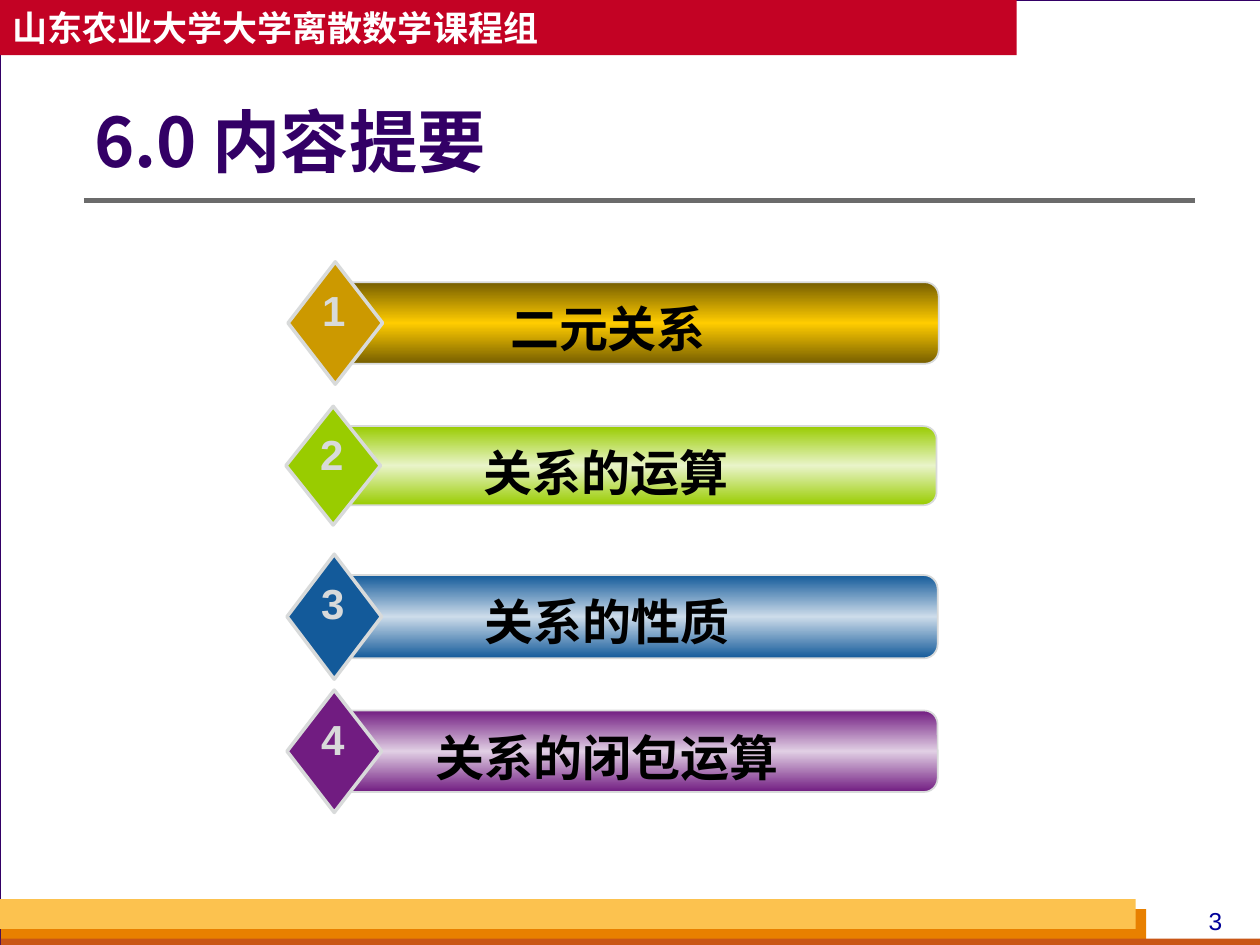
from copy import deepcopy

from lxml import etree
from pptx import Presentation
from pptx.dml.color import RGBColor
from pptx.enum.shapes import MSO_CONNECTOR, MSO_SHAPE
from pptx.enum.text import MSO_ANCHOR, PP_ALIGN
from pptx.oxml.ns import qn
from pptx.util import Pt

RECT, ROUND, DIAMOND = MSO_SHAPE.RECTANGLE, MSO_SHAPE.ROUNDED_RECTANGLE, MSO_SHAPE.DIAMOND
LEFT, CENTER = PP_ALIGN.LEFT, PP_ALIGN.CENTER
CJK = "Noto Sans CJK SC"
GREY, INDIGO = "D8DADA", "330066"

TITLE = "6.0 内容提要"
COURSE = "山东农业大学大学离散数学课程组"
PAGE = "3"
# label, bar left, top and height, edge colour, middle colour, diamond colour
TOPICS = [
    ("二元关系", 194.4, 161.3, 46.6, "765E00", "FFCC00", "CC9900"),
    ("关系的运算", 193.2, 243.5, 45.2, "99CC00", "E9F4C9", "99CC00"),
    ("关系的性质", 193.8, 328.6, 47.6, "135A9A", "CDDCEA", "135A9A"),
    ("关系的闭包运算", 193.8, 406, 46.6, "711C81", "E1CFE4", "711C81"),
]
# left, top, width, height, colour
FOOTER_BANDS = [
    (0.5, 519.6, 654.5, 20.4, "E88000"),
    (0.5, 536.4, 720, 5.6, "C95616"),
    (0, 513.8, 649, 17, "FCC24F"),
]


def rgb(hex_colour):
    return RGBColor.from_string(hex_colour)


def add_shape(shapes, kind, left, top, width, height, fill=None, line=None, weight=1):
    shape = shapes.add_shape(kind, Pt(left), Pt(top), Pt(width), Pt(height))
    shape.shadow.inherit = False
    if fill:
        shape.fill.solid()
        shape.fill.fore_color.rgb = rgb(fill)
    if line:
        shape.line.color.rgb = rgb(line)
        shape.line.width = Pt(weight)
    else:
        shape.line.fill.background()
    return shape


def fill_gradient(shape, colours):
    """Fill from top to bottom with evenly spaced colours."""
    shape.fill.gradient()
    shape.fill.gradient_angle = 270
    stop_list = shape._element.spPr.find(qn("a:gradFill")).find(qn("a:gsLst"))
    while len(stop_list) < len(colours):
        stop_list.append(deepcopy(stop_list[0]))
    for i, (stop, colour) in enumerate(zip(shape.fill.gradient_stops, colours)):
        stop.color.rgb = rgb(colour)
        stop.position = i / (len(colours) - 1)


def write(shape, text, size, colour, font="Arial", bold=True, align=CENTER,
          anchor=MSO_ANCHOR.TOP, wrap=True):
    frame = shape.text_frame
    frame.word_wrap = wrap
    frame.vertical_anchor = anchor
    paragraph = frame.paragraphs[0]
    paragraph.alignment = align
    run = paragraph.add_run()
    run.text = text
    run.font.name = font
    run.font.size = Pt(size)
    run.font.bold = bold
    run.font.color.rgb = rgb(colour)
    etree.SubElement(run.font._element, qn("a:ea"), typeface=CJK)
    return paragraph


def add_text(shapes, left, top, width, height, *content, **style):
    box = shapes.add_textbox(Pt(left), Pt(top), Pt(width), Pt(height))
    return write(box, *content, **style)


def add_topic(shapes, number, label, left, top, height, edge, middle, diamond):
    group = shapes.add_group_shape().shapes
    bar = add_shape(group, ROUND, left, top, 342, height, line=GREY)
    fill_gradient(bar, [edge, middle, edge])
    add_shape(group, DIAMOND, left - 29.8, top - height / 4, 54, height * 1.5,
              diamond, GREY, 2)
    add_text(group, left + 18, top + 6, 270, 41, label, 28, "000000")
    add_text(group, left - 17.4, top - 2, 27.4, 36, str(number), 24, GREY, wrap=False)


def main():
    prs = Presentation()
    prs.slide_width, prs.slide_height = Pt(720), Pt(540)
    slide = prs.slides.add_slide(prs.slide_layouts[5])
    shapes = slide.shapes
    slide.background.fill.solid()
    slide.background.fill.fore_color.rgb = rgb(GREY)

    title = shapes.title
    add_shape(shapes, RECT, 0, 0, 720.7, 540, "FFFFFF", INDIGO, 0.75)
    for band in FOOTER_BANDS:
        add_shape(shapes, RECT, *band)
    page = add_text(shapes, 671.8, 514, 45.4, 24.5, PAGE, 14, "000099", bold=False)
    page.space_before = Pt(0)

    rule = shapes.add_connector(MSO_CONNECTOR.STRAIGHT, Pt(48), Pt(114.6), Pt(683), Pt(114.6))
    rule.line.color.rgb = rgb("6B6B6B")
    rule.line.width = Pt(3)
    etree.SubElement(rule._element.spPr, qn("a:effectLst"))

    banner = add_shape(shapes, RECT, 0, 0, 581, 31.5, "C30224")
    write(banner, COURSE, 20, "FFFFFF", CJK, align=LEFT, anchor=MSO_ANCHOR.MIDDLE, wrap=False)

    shapes._spTree.append(title._element)  # bring the title above the backdrop
    title.left, title.top, title.width, title.height = Pt(54), Pt(54.8), Pt(625), Pt(56)
    title.text_frame.margin_left = 0
    heading = write(title, TITLE, 39, INDIGO, CJK, align=LEFT, anchor=MSO_ANCHOR.MIDDLE)
    heading.line_spacing = 0.9

    for number, topic in enumerate(TOPICS, 1):
        add_topic(shapes, number, *topic)
    prs.save("out.pptx")


if __name__ == "__main__":
    main()
